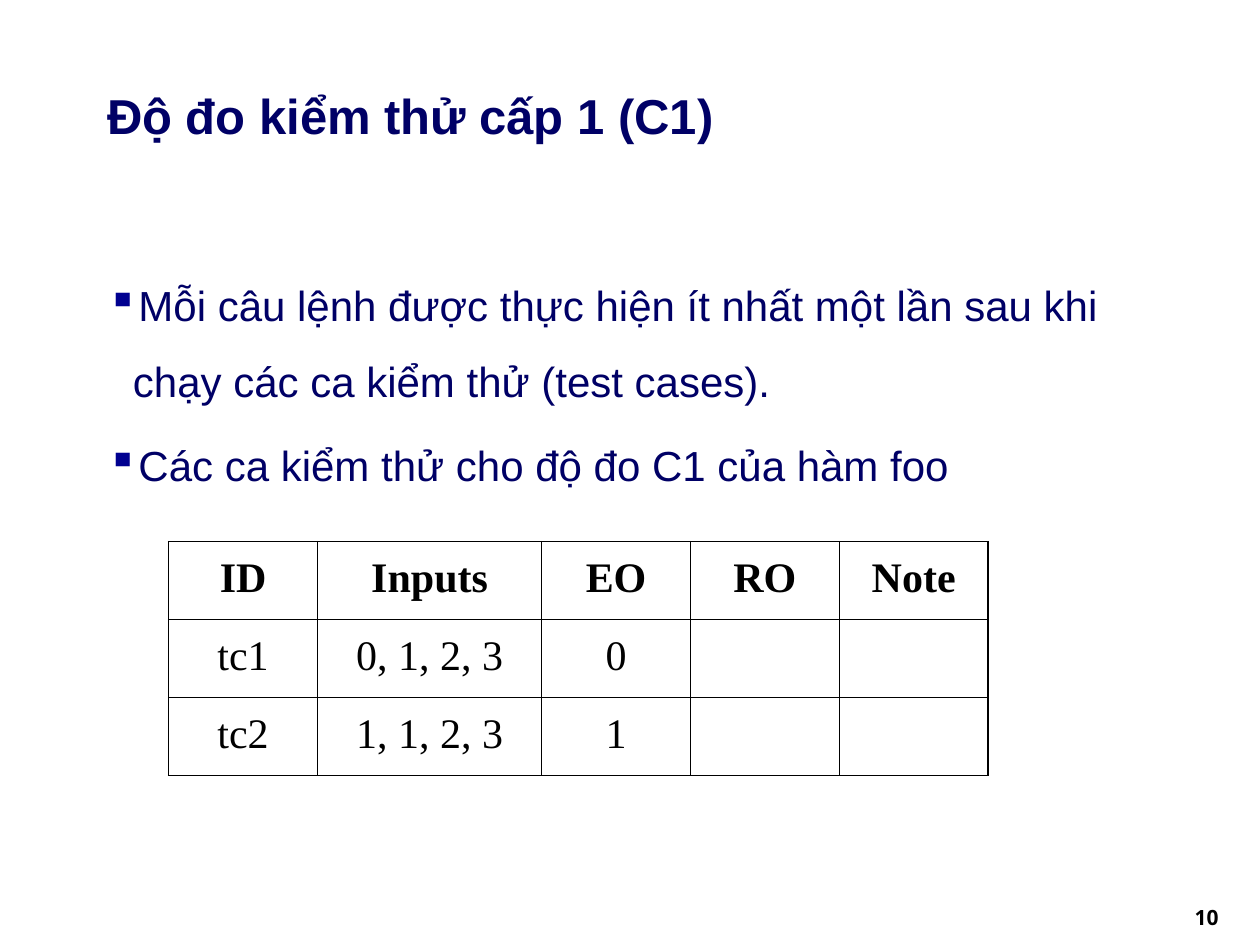
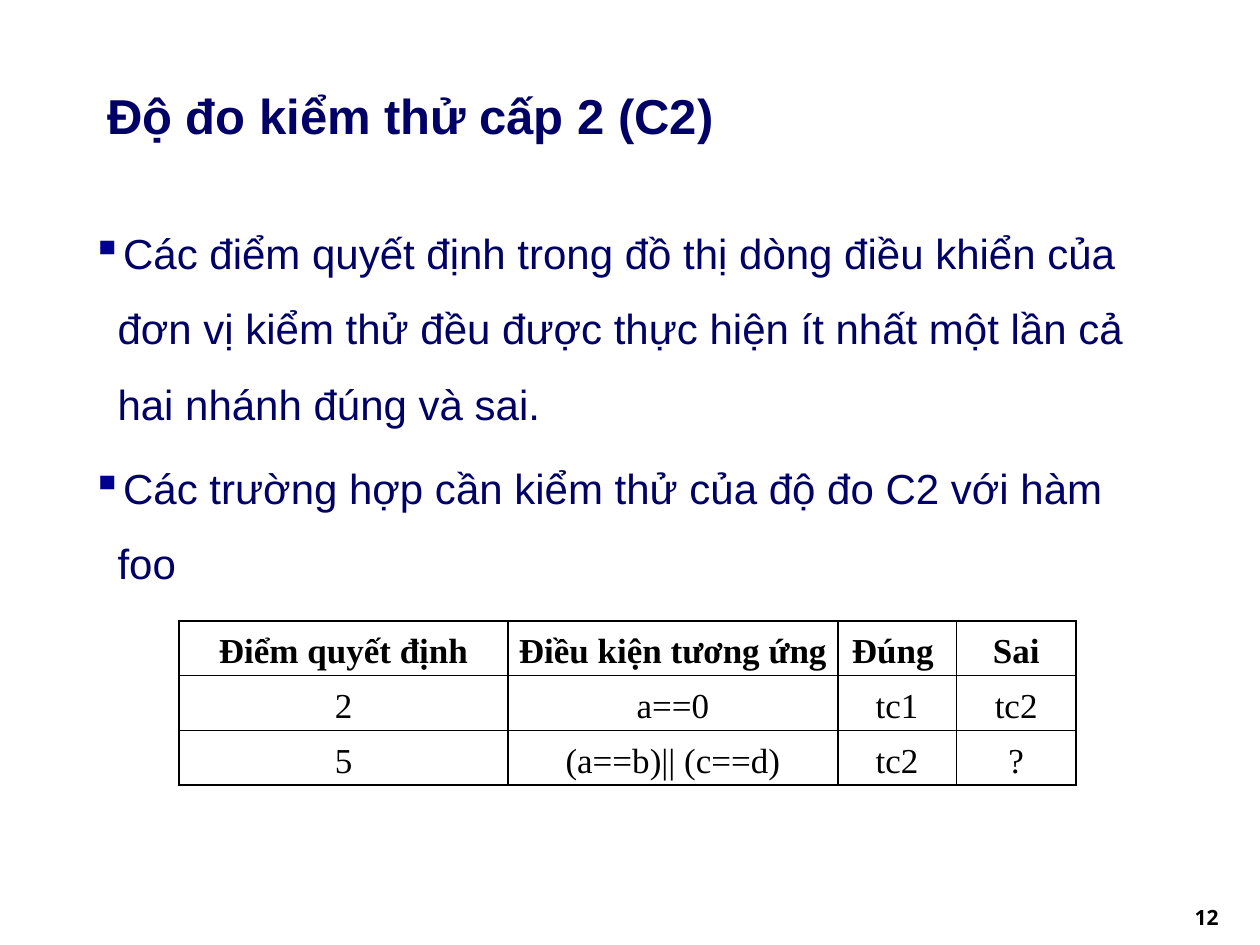
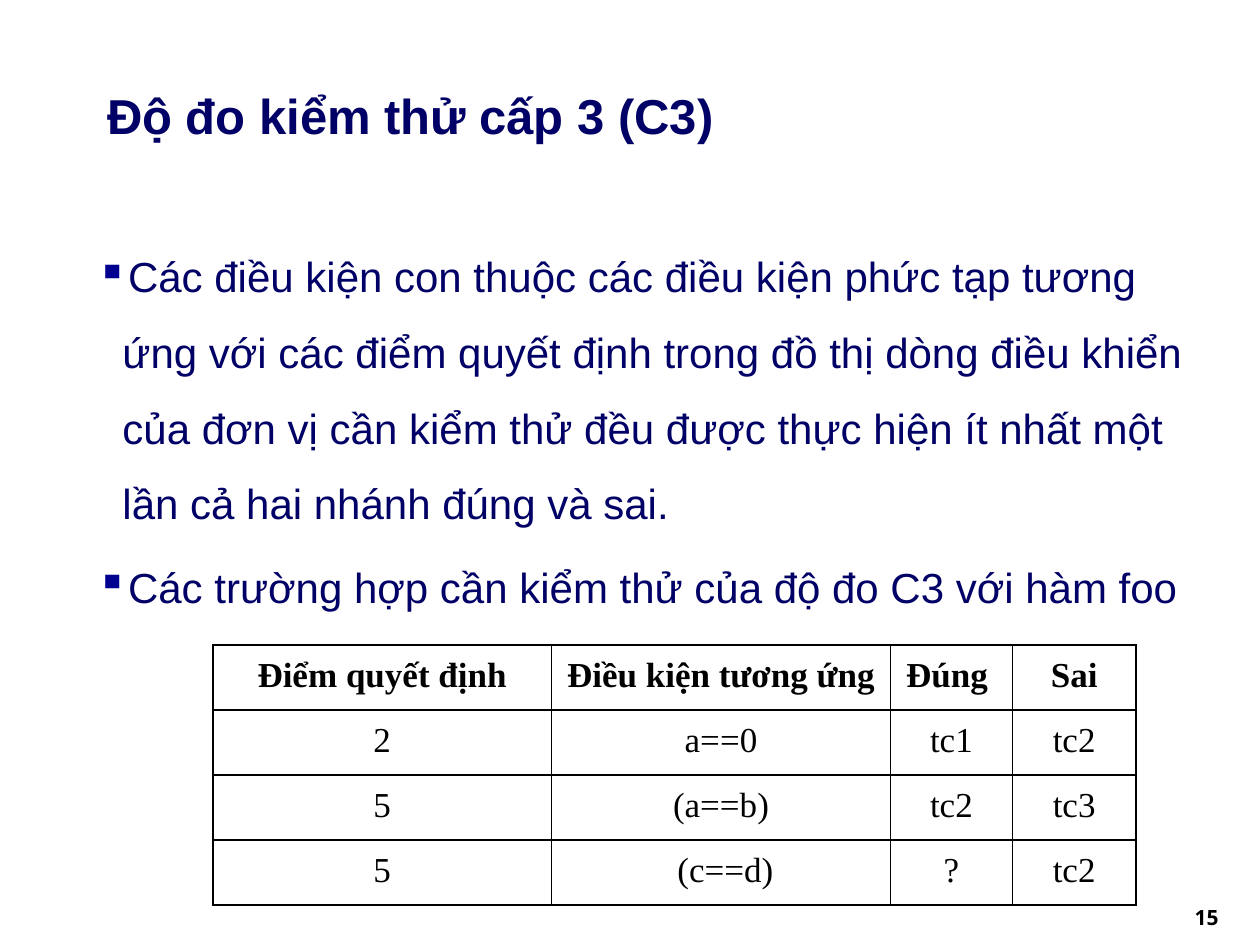
"""Build three slides on the test coverage levels C1, C2 and C3."""
import pptx
import pptx.dml.color
import pptx.enum.text
import pptx.oxml
import pptx.oxml.ns
import pptx.util

Cm = pptx.util.Cm
Pt = pptx.util.Pt
ALIGN = pptx.enum.text.PP_ALIGN
ANCHOR = pptx.enum.text.MSO_ANCHOR

COLORS = {"text": "000066", "bullet": "000090", "table": "000000", "page": "000000"}
CASE_HEADER = ["ID", "Inputs", "EO", "RO", "Note"]
DECISION_HEADER = ["Điểm quyết định", "Điều kiện tương ứng", "Đúng ", "Sai"]

SLIDES = [
    {
        "title": "Độ đo kiểm thử cấp 1 (C1)",
        "page": "10",
        "points_box": (1.91, 5, 21.79, 4.42),
        "points": [
            "Mỗi câu lệnh được thực hiện ít nhất một lần sau khi chạy các ca kiểm thử (test cases).",
            "Các ca kiểm thử cho độ đo C1 của hàm foo",
        ],
        "corner": (3.4, 10.92),
        "widths": [3, 4.52, 3, 3, 3],
        "row_height": 1.57,
        "size": 24,
        "rows": [
            CASE_HEADER,
            ["tc1", "0, 1, 2, 3", "0", "", ""],
            ["tc2", "1, 1, 2, 3", "1", "", ""],
        ],
    },
    {
        "title": "Độ đo kiểm thử cấp 2 (C2)",
        "page": "12",
        "points_box": (1.6, 3.94, 21.79, 12.14),
        "points": [
            "Các điểm quyết định trong đồ thị dòng điều khiển của đơn vị kiểm thử "
            "đều được thực hiện ít nhất một lần cả hai nhánh đúng và sai.",
            "Các trường hợp cần kiểm thử của độ đo C2 với hàm foo",
        ],
        "corner": (3.61, 12.52),
        "widths": [6.63, 6.65, 2.39, 2.41],
        "row_height": 1.1,
        "size": 20,
        "rows": [
            DECISION_HEADER,
            ["2", "a==0", "tc1", "tc2"],
            ["5", "(a==b)|| (c==d)", "tc2", "?"],
        ],
    },
    {
        "title": "Độ đo kiểm thử cấp 3 (C3)",
        "page": "15",
        "points_box": (1.7, 4.42, 22.71, 12.14),
        "points": [
            "Các điều kiện con thuộc các điều kiện phức tạp tương ứng với các điểm quyết định "
            "trong đồ thị dòng điều khiển của đơn vị cần kiểm thử đều được thực hiện "
            "ít nhất một lần cả hai nhánh đúng và sai.",
            "Các trường hợp cần kiểm thử của độ đo C3 với hàm foo",
        ],
        "corner": (4.29, 13),
        "widths": [6.83, 6.83, 2.46, 2.49],
        "row_height": 1.31,
        "size": 20,
        "rows": [
            DECISION_HEADER,
            ["2", "a==0", "tc1", "tc2"],
            ["5", "(a==b)", "tc2", "tc3"],
            ["5", " (c==d)", "?", "tc2"],
        ],
    },
]


def add_xml(parent, xml):
    """Append an element of the drawing namespace to its parent."""
    tag, rest = xml[1:].split(" ", 1)
    namespace = pptx.oxml.ns.nsdecls("a")
    parent.append(pptx.oxml.parse_xml(f"<{tag} {namespace} {rest}"))


def style_font(font, name, size, color, bold=False):
    """Set the typeface, size, colour and weight of a font."""
    font.name = name
    font.size = Pt(size)
    font.bold = bold
    font.color.rgb = pptx.dml.color.RGBColor.from_string(COLORS[color])


def set_hanging_indent(paragraph, indent):
    """Hang the first line of a paragraph by the given length."""
    properties = paragraph._p.get_or_add_pPr()
    properties.set("marL", str(indent))
    properties.set("indent", str(-indent))


def add_frame(slide, box, anchor, margins=(0.25, 0.13)):
    """Add a wrapping text box and return its text frame."""
    frame = slide.shapes.add_textbox(*map(Cm, box)).text_frame
    frame.word_wrap = True
    frame.vertical_anchor = anchor
    frame.margin_left = frame.margin_right = Cm(margins[0])
    frame.margin_top = frame.margin_bottom = Cm(margins[1])
    return frame


def add_title(slide, title):
    """Add the slide title."""
    frame = add_frame(slide, (1.91, 0.43, 21.59, 3.18), ANCHOR.MIDDLE)
    frame.text = title
    heading = frame.paragraphs[0]
    heading.line_spacing = 1.5
    set_hanging_indent(heading, Cm(0.95))
    style_font(heading.runs[0].font, "Arial", 28, "text", bold=True)


def add_points(slide, box, points):
    """Add the bulleted points."""
    frame = add_frame(slide, box, ANCHOR.TOP)
    frame.text = "\n".join(points)
    for index, point in enumerate(frame.paragraphs):
        point.line_spacing = 1.5
        point.space_before = Pt(4.8 if index else 0)
        set_hanging_indent(point, Cm(0.52))
        properties = point._p.get_or_add_pPr()
        add_xml(properties, f'<a:buClr ><a:srgbClr val="{COLORS["bullet"]}"/></a:buClr>')
        add_xml(properties, '<a:buChar char="▪"/>')
        style_font(point.runs[0].font, "Arial", 24, "text")


def add_page_number(slide, number):
    """Add the page number in the lower right corner."""
    frame = add_frame(slide, (23.32, 18.14, 2.01, 0.61), ANCHOR.BOTTOM, (0, 0))
    frame.text = number
    page = frame.paragraphs[0]
    page.alignment = ALIGN.CENTER
    style_font(page.runs[0].font, "Noto Sans", 12, "page", bold=True)


def fill_cell(cell, text, size, bold):
    """Write one bordered table cell."""
    cell.margin_left = cell.margin_right = Cm(0.18)
    cell.margin_top = cell.margin_bottom = 0
    for side in "LRTB":
        add_xml(
            cell._tc.get_or_add_tcPr(),
            f'<a:ln{side} w="{Pt(1)}"><a:solidFill><a:srgbClr val="{COLORS["table"]}"/>'
            f"</a:solidFill></a:ln{side}>",
        )
    cell.fill.background()
    cell.text = text
    entry = cell.text_frame.paragraphs[0]
    entry.alignment = ALIGN.CENTER
    entry.line_spacing = 1.3
    for run in entry.runs:
        style_font(run.font, "Times New Roman", size, "table", bold)


def add_test_table(slide, corner, widths, row_height, size, rows):
    """Add the table of test cases with a bold header row."""
    extent = (sum(widths), row_height * len(rows))
    table = slide.shapes.add_table(
        len(rows), len(widths), *map(Cm, corner + extent)
    ).table
    table.first_row = table.horz_banding = False
    for column, width in zip(table.columns, widths):
        column.width = Cm(width)
    for row_index, row in enumerate(rows):
        table.rows[row_index].height = Cm(row_height)
        for column_index, text in enumerate(row):
            fill_cell(table.cell(row_index, column_index), text, size, row_index == 0)


def main():
    """Build and save the presentation."""
    deck = pptx.Presentation()
    deck.slide_width, deck.slide_height = Cm(25.4), Cm(19.05)
    for content in SLIDES:
        slide = deck.slides.add_slide(deck.slide_layouts[6])
        add_title(slide, content["title"])
        add_points(slide, content["points_box"], content["points"])
        add_page_number(slide, content["page"])
        add_test_table(
            slide, content["corner"], content["widths"],
            content["row_height"], content["size"], content["rows"],
        )
    deck.save("out.pptx")


if __name__ == "__main__":
    main()
